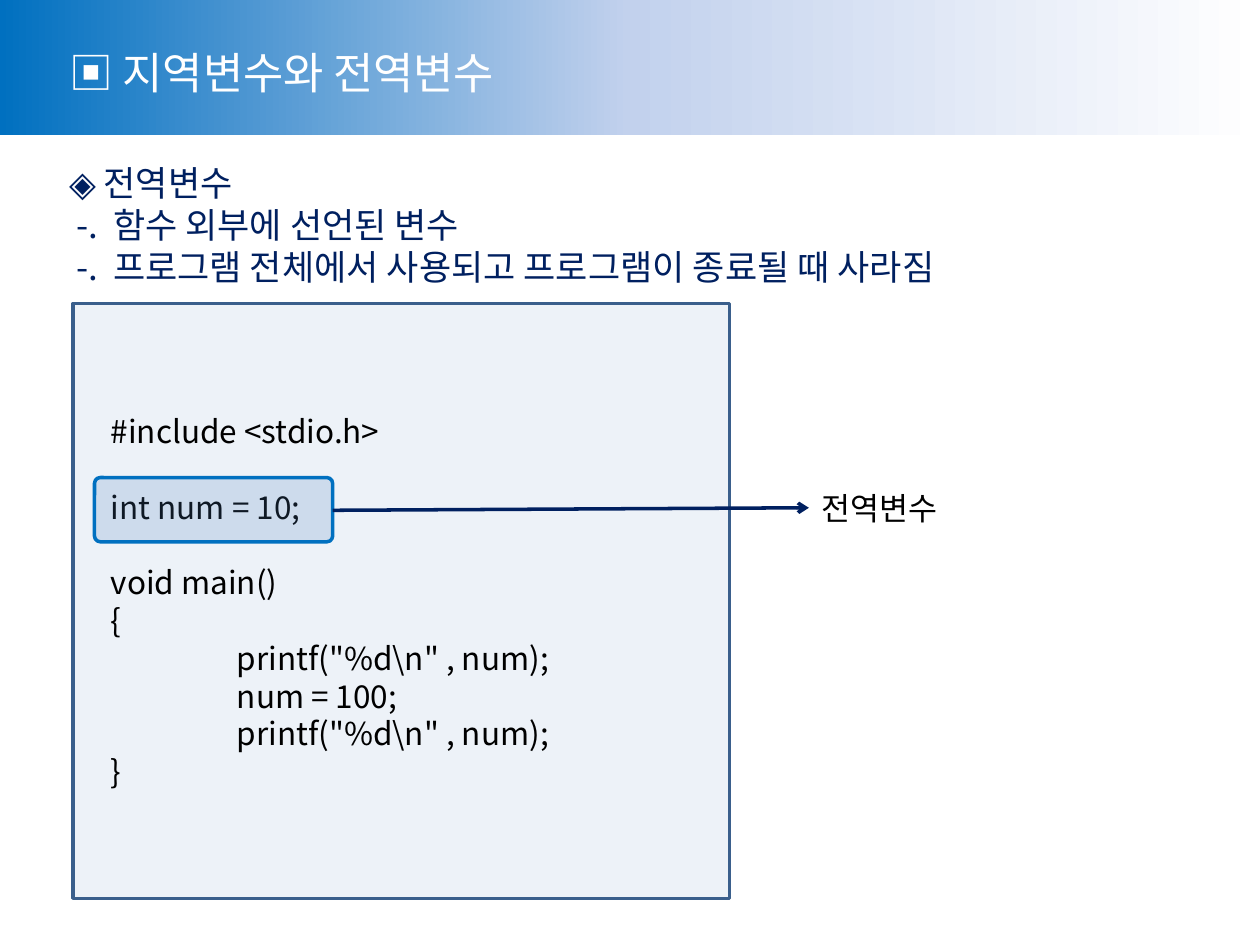
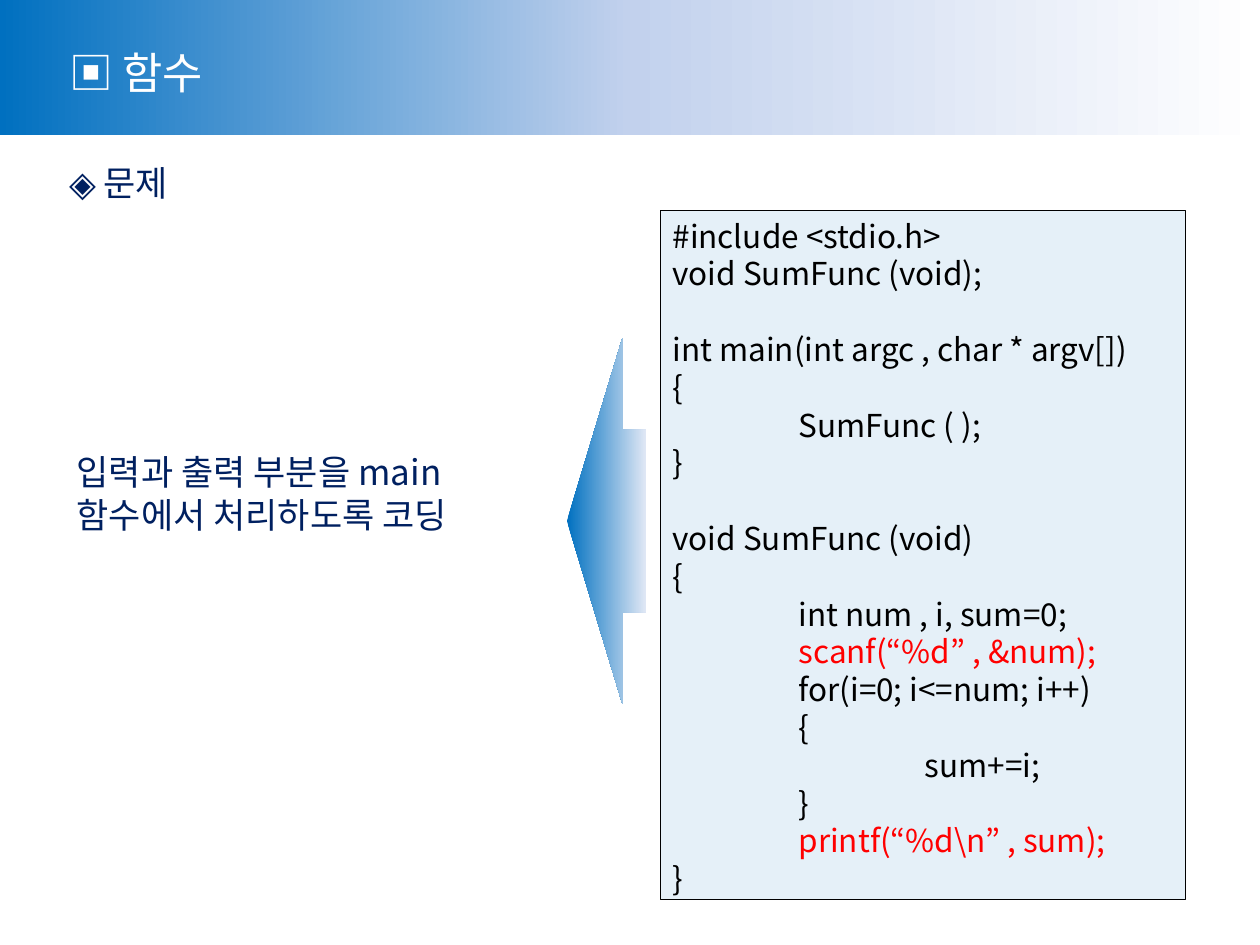
from dataclasses import dataclass

from lxml.etree import SubElement
from pptx import Presentation
from pptx.dml.color import RGBColor
from pptx.enum.shapes import MSO_CONNECTOR, MSO_SHAPE
from pptx.enum.text import MSO_ANCHOR, MSO_AUTO_SIZE, PP_ALIGN
from pptx.oxml import parse_xml
from pptx.oxml.ns import nsdecls, qn
from pptx.util import Inches, Pt

FONT = "Noto Sans CJK KR"
TITLE_SIZE, BODY_SIZE, CODE_SIZE = 25, 20, 18
LINE_PITCH = 1.2

WHITE = RGBColor(0xFF, 0xFF, 0xFF)
BLACK = RGBColor(0x00, 0x00, 0x00)
RED = RGBColor(0xFF, 0x00, 0x00)
NAVY = RGBColor(0x00, 0x20, 0x60)
BLUE = RGBColor(0x00, 0x70, 0xC0)
STEEL = RGBColor(0x4F, 0x81, 0xBD)
DARK_STEEL = RGBColor(0x3A, 0x5F, 0x8C)
PALE_BLUE = RGBColor(0xC2, 0xD1, 0xED)
ICE = RGBColor(0xE1, 0xE8, 0xF5)


@dataclass(frozen=True)
class Area:
    left: float
    top: float
    width: float
    height: float

    def lengths(self) -> tuple:
        return tuple(Inches(v) for v in (self.left, self.top, self.width, self.height))


@dataclass(frozen=True)
class Panel:
    """A framed, tinted surface; tint is the fill opacity in percent."""
    area: Area
    fill: RGBColor
    tint: int
    line: RGBColor
    line_width: float
    preset: MSO_SHAPE = MSO_SHAPE.RECTANGLE


GLOBAL_CODE = r'''#include <stdio.h>

int num = 10;

void main()
{
	printf("%d\n" , num);
	num = 100;
	printf("%d\n" , num);
}'''

SUM_CODE = r'''#include <stdio.h>
void SumFunc (void);

int main(int argc , char * argv[])
{
	SumFunc ( );
}

void SumFunc (void)
{
	int num , i, sum=0;
	scanf(“%d” , &num);
	for(i=0; i<=num; i++)
	{
		sum+=i;
	}
	printf(“%d\n” , sum);
}'''


def add_run(paragraph, text: str, size: float, color: RGBColor) -> None:
    run = paragraph.add_run()
    run.text = text
    run.font.size = Pt(size)
    run.font.color.rgb = color
    run.font.name = FONT
    SubElement(run.font._element, qn("a:ea")).set("typeface", FONT)


def next_paragraph(frame, index: int, size: float):
    paragraph = frame.add_paragraph() if index else frame.paragraphs[0]
    paragraph.alignment = PP_ALIGN.LEFT
    paragraph.line_spacing = Pt(size * LINE_PITCH)
    return paragraph


def set_gradient(shape, *stops: tuple[int, RGBColor]) -> None:
    """Fill from left to right; stops are (percent, colour)."""
    marks = "".join(f'<a:gs pos="{percent * 1000}"><a:srgbClr val="{color}"/></a:gs>'
                    for percent, color in stops)
    gradient = parse_xml(f'<a:gradFill {nsdecls("a")} rotWithShape="1"><a:gsLst>{marks}'
                         '</a:gsLst><a:lin ang="0" scaled="0"/></a:gradFill>')
    shape._element.spPr.find(qn("a:prstGeom")).addnext(gradient)
    shape.line.fill.background()
    shape.shadow.inherit = False


def add_band_to_layout(slide) -> None:
    band = slide.shapes.add_shape(MSO_SHAPE.RECTANGLE, *Area(0, 0, 10, 1.07).lengths())
    set_gradient(band, (0, BLUE), (50, PALE_BLUE), (100, WHITE))
    slide.slide_layout.shapes.element.insert(2, band._element)


def add_title(slide, text: str, width: float) -> None:
    title = slide.shapes.title
    title.left, title.top, title.width, title.height = Area(0.45, 0.31, width, 0.52).lengths()
    frame = title.text_frame
    frame.word_wrap = False
    frame.auto_size = MSO_AUTO_SIZE.NONE
    frame.vertical_anchor = MSO_ANCHOR.TOP
    add_run(next_paragraph(frame, 0, TITLE_SIZE), f"▣ {text}", TITLE_SIZE, WHITE)


def add_text(shapes, area: Area, lines: list[str],
             size: float = BODY_SIZE, color: RGBColor = NAVY) -> None:
    frame = shapes.add_textbox(*area.lengths()).text_frame
    frame.word_wrap = True
    for index, line in enumerate(lines):
        paragraph = next_paragraph(frame, index, size)
        if line.startswith("-."):
            properties = paragraph._p.get_or_add_pPr()
            properties.set("marL", str(Inches(0.35)))
            properties.set("indent", str(-Inches(0.29)))
        add_run(paragraph, line, size, color)


def add_panel(shapes, panel: Panel):
    shape = shapes.add_shape(panel.preset, *panel.area.lengths())
    shape.shadow.inherit = False
    shape.fill.solid()
    shape.fill.fore_color.rgb = panel.fill
    tinted = shape._element.spPr.find(qn("a:solidFill"))[0]
    SubElement(tinted, qn("a:alpha")).set("val", str(panel.tint * 1000))
    shape.line.color.rgb = panel.line
    shape.line.width = Pt(panel.line_width)
    return shape


def add_code(slide, panel: Panel, code: str, anchor: MSO_ANCHOR,
             inset: float = 0.1, marked: tuple[str, ...] = ()) -> None:
    """Put code in a panel; lines starting with a marked word turn red."""
    frame = add_panel(slide.shapes, panel).text_frame
    frame.word_wrap = True
    frame.vertical_anchor = anchor
    frame.margin_left = Inches(inset)
    lines = code.split("\n")
    written = [(i, line) for i, line in enumerate(lines) if line]
    for index, line in written:
        paragraph = next_paragraph(frame, index, CODE_SIZE)
        if index and not lines[index - 1]:
            paragraph.space_before = Pt(CODE_SIZE * LINE_PITCH)
        tabs = SubElement(paragraph._p.get_or_add_pPr(), qn("a:tabLst"))
        for stop in (1, 2):
            tab = SubElement(tabs, qn("a:tab"))
            tab.set("pos", str(Inches(stop)))
            tab.set("algn", "l")
        statement = line.lstrip("\t")
        if statement.startswith(marked):
            add_run(paragraph, line[:-len(statement)], CODE_SIZE, BLACK)
            add_run(paragraph, statement, CODE_SIZE, RED)
        else:
            add_run(paragraph, line, CODE_SIZE, BLACK)


def add_callout(slide) -> None:
    shapes = slide.shapes.add_group_shape().shapes
    declaration = Panel(Area(0.75, 3.79, 1.89, 0.51), STEEL, 20, BLUE, 2,
                        MSO_SHAPE.ROUNDED_RECTANGLE)
    add_panel(shapes, declaration).adjustments[0] = 0.09
    pointer = shapes.add_connector(MSO_CONNECTOR.STRAIGHT, Inches(2.64), Inches(4.05),
                                   Inches(6.42), Inches(4.03))
    pointer.line.color.rgb = NAVY
    pointer.line.width = Pt(2)
    SubElement(pointer.line._get_or_add_ln(), qn("a:tailEnd")).set("type", "arrow")
    SubElement(pointer._element.spPr, qn("a:effectLst"))
    add_text(shapes, Area(6.42, 3.83, 1.26, 0.4), ["전역변수"], CODE_SIZE, BLACK)


def build_global_variable(slide) -> None:
    add_title(slide, "지역변수와 전역변수", 3.95)
    add_text(slide.shapes, Area(0.45, 1.23, 9.2, 1.11), [
        "◈ 전역변수",
        "-.\t함수 외부에 선언된 변수",
        "-.\t프로그램 전체에서 사용되고 프로그램이 종료될 때 사라짐",
    ])
    panel = Panel(Area(0.58, 2.41, 5.21, 4.72), STEEL, 10, DARK_STEEL, 2)
    add_code(slide, panel, GLOBAL_CODE, MSO_ANCHOR.MIDDLE, inset=0.3)
    add_callout(slide)


def build_exercise(slide) -> None:
    add_title(slide, "함수", 1.38)
    add_text(slide.shapes, Area(0.45, 1.23, 9.2, 0.44), ["◈ 문제"])
    arrow = slide.shapes.add_shape(MSO_SHAPE.LEFT_ARROW, *Area(4.5, 2.68, 0.63, 2.91).lengths())
    arrow.adjustments[0] = 0.5
    arrow.adjustments[1] = 0.7
    set_gradient(arrow, (0, BLUE), (100, ICE))
    add_text(slide.shapes, Area(0.51, 3.53, 3.86, 0.78),
             ["입력과 출력 부분을 main", "함수에서 처리하도록 코딩"])
    panel = Panel(Area(5.24, 1.67, 4.17, 5.47), BLUE, 10, BLACK, 0.75)
    add_code(slide, panel, SUM_CODE, MSO_ANCHOR.TOP, marked=("scanf", "printf"))


def main() -> None:
    deck = Presentation()
    deck.slide_width, deck.slide_height = Inches(10), Inches(7.5)
    title_only = deck.slide_layouts[5]
    slides = [deck.slides.add_slide(title_only) for _ in range(2)]
    add_band_to_layout(slides[0])
    build_global_variable(slides[0])
    build_exercise(slides[1])
    deck.save("out.pptx")


if __name__ == "__main__":
    main()
